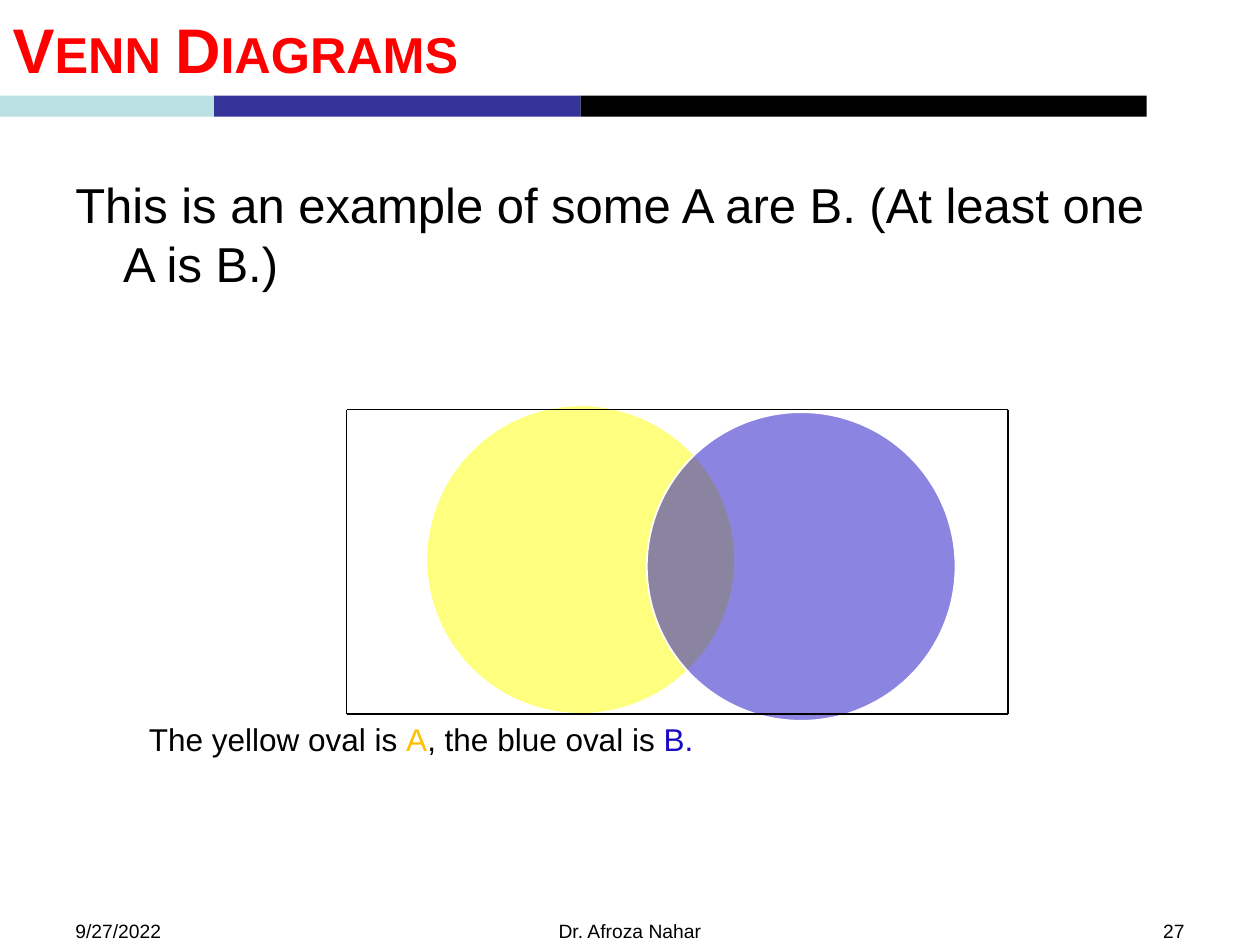
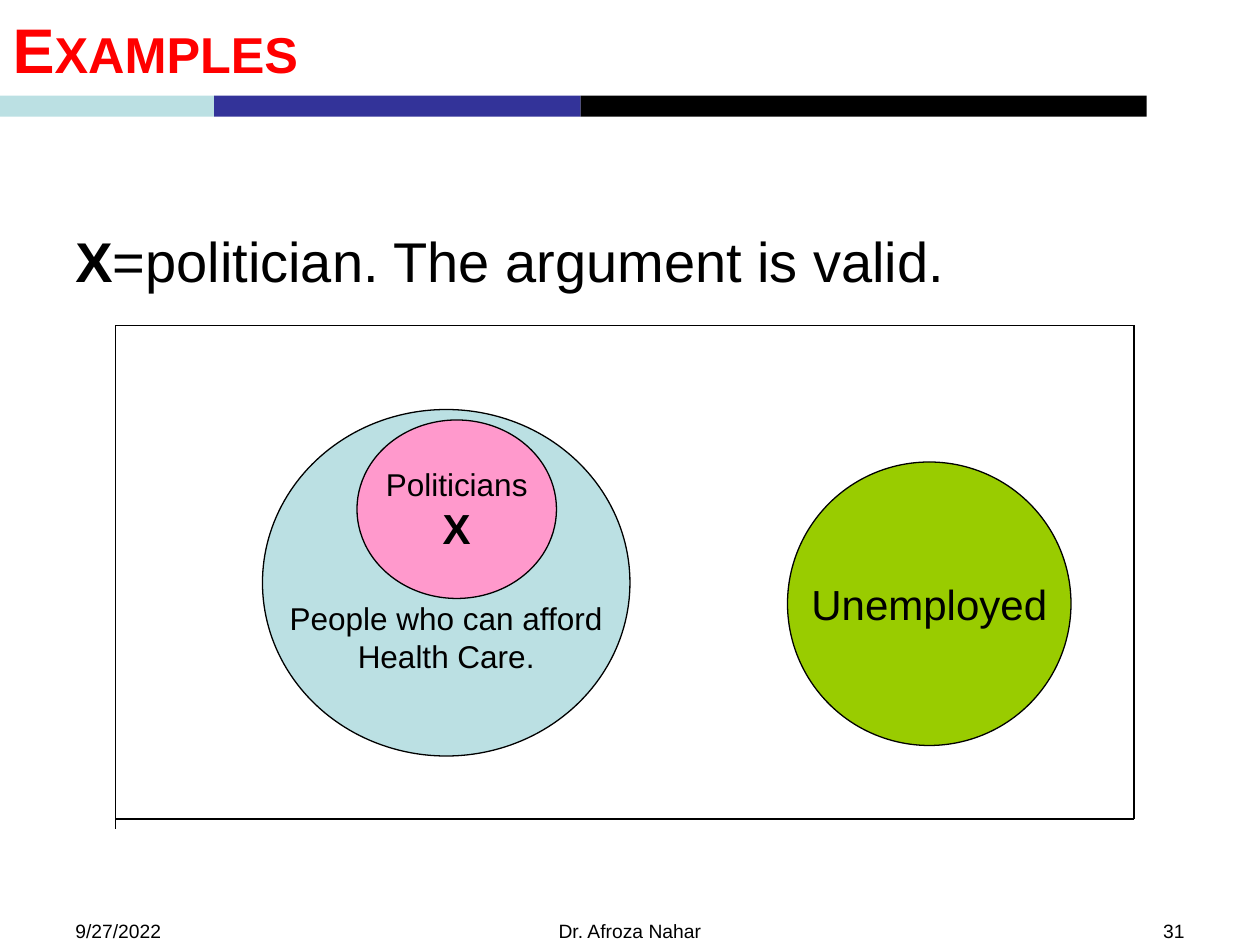
import dataclasses

import lxml.etree
import pptx
import pptx.dml.color
import pptx.enum.shapes
import pptx.enum.text
import pptx.oxml.ns
import pptx.util

COLORS = {
    "black": "000000",
    "white": "FFFFFF",
    "red": "FF0000",
    "pale": "BBE0E3",
    "navy": "333399",
    "yellow": "FFFF00",
    "gold": "FFC000",
    "blue": "180BC3",
    "pink": "FF99CC",
    "green": "99CC00",
}
FONT = "Arial"
SLIDE_WIDTH = pptx.util.Inches(10)
SLIDE_HEIGHT = pptx.util.Inches(7.5)
COLUMNS = 120
ROWS = 90
BANDS = (("pale", 20.4), ("navy", 34.9), ("black", 53.9))
ALIGN = pptx.enum.text.PP_ALIGN
ANCHOR = pptx.enum.text.MSO_ANCHOR
qn = pptx.oxml.ns.qn


@dataclasses.dataclass
class Box:
    left: float
    top: float
    width: float
    height: float

    def inner(self, left, top, width, height):
        return Box(self.left + left, self.top + top, width, height)

    def lengths(self):
        return (across(self.left), down(self.top), across(self.width), down(self.height))


TITLE_BOX = Box(0, 0, 109.2, 9.12)
FOOTER_BOX = Box(6, 87, 108, 3)


def across(columns):
    return round(SLIDE_WIDTH * columns / COLUMNS)


def down(rows):
    return round(SLIDE_HEIGHT * rows / ROWS)


def rgb(name):
    return pptx.dml.color.RGBColor.from_string(COLORS[name])


def add_text(para, text, size=18, color="black", bold=False, small_caps=False):
    span = para.add_run()
    span.text = text
    span.font.name = FONT
    span.font.size = pptx.util.Pt(size)
    span.font.bold = bold
    span.font.color.rgb = rgb(color)
    if small_caps:
        span._r.get_or_add_rPr().set("cap", "small")


def space_before(para, percent):
    para.space_before = pptx.util.Pt(0)
    spacing = para._p.pPr.find(qn("a:spcBef"))
    spacing.remove(spacing[0])
    lxml.etree.SubElement(spacing, qn("a:spcPct"), val=str(percent * 1000))


def add_paragraph_box(page, box, align=ALIGN.LEFT):
    frame = page.shapes.add_textbox(*box.lengths()).text_frame
    frame.word_wrap = True
    para = frame.paragraphs[0]
    para.alignment = align
    return para


def add_figure(page, kind, box, fill, line=None, line_width=0.75, opacity=100):
    shape = page.shapes.add_shape(kind, *box.lengths())
    shape.shadow.inherit = False
    shape.fill.solid()
    shape.fill.fore_color.rgb = rgb(fill)
    if opacity < 100:
        color = shape._element.spPr.find(qn("a:solidFill"))[0]
        lxml.etree.SubElement(color, qn("a:alpha"), val=str(opacity * 1000))
    if line:
        shape.line.color.rgb = rgb(line)
        shape.line.width = pptx.util.Pt(line_width)
    else:
        shape.line.fill.background()
    return shape


def add_oval(page, box, fill, **style):
    return add_figure(page, pptx.enum.shapes.MSO_SHAPE.OVAL, box, fill, **style)


def add_set(page, box, fill, lines, raised_inset=0.05):
    frame = add_oval(page, box, fill, line="black").text_frame
    frame.word_wrap = False
    frame.vertical_anchor = ANCHOR.MIDDLE
    frame.margin_top = pptx.util.Inches(raised_inset)
    for index, (text, style) in enumerate(lines):
        para = frame.add_paragraph() if index else frame.paragraphs[0]
        para.alignment = ALIGN.CENTER
        add_text(para, text, **style)


def add_universe(page, box, overhang=0):
    right, bottom = box.left + box.width, box.top + box.height
    sides = (
        (box.left, box.top, box.left, bottom + overhang),
        (box.left, box.top, right, box.top),
        (right, box.top, right, bottom),
        (right, bottom, box.left, bottom),
    )
    for left, top, end_left, end_top in sides:
        side = page.shapes.add_connector(
            pptx.enum.shapes.MSO_CONNECTOR.STRAIGHT,
            across(left), down(top), across(end_left), down(end_top))
        side.line.color.rgb = rgb("black")
        side.line.width = pptx.util.Pt(0.75)
        lxml.etree.SubElement(side._element.spPr, qn("a:effectLst"))


def add_heading(page, box, text):
    title = page.shapes.title
    title.left, title.top, title.width, title.height = box.lengths()
    frame = title.text_frame
    frame.auto_size = pptx.enum.text.MSO_AUTO_SIZE.NONE
    frame.vertical_anchor = ANCHOR.MIDDLE
    para = frame.paragraphs[0]
    para.alignment = ALIGN.LEFT
    space_before(para, 20)
    add_text(para, text, size=36, color="red", bold=True, small_caps=True)
    left = 0
    for color, width in BANDS:
        band = box.inner(left, box.height, width, 2)
        add_figure(page, pptx.enum.shapes.MSO_SHAPE.RECTANGLE, band, color)
        left += width


def add_footer(page, box, number):
    entries = (
        ("9/27/2022", 0, 28, ALIGN.LEFT),
        ("Dr. Afroza Nahar", 35, 38, ALIGN.CENTER),
        (number, 80, 28, ALIGN.RIGHT),
    )
    for text, left, width, align in entries:
        para = add_paragraph_box(page, box.inner(left, 0, width, box.height), align)
        add_text(para, text, size=11)


def add_statement(page, box, spans, size):
    para = add_paragraph_box(page, box)
    indent = pptx.util.Inches(0.38)
    properties = para._p.get_or_add_pPr()
    properties.set("marL", str(indent))
    properties.set("indent", str(-indent))
    space_before(para, 20)
    for text, bold in spans:
        add_text(para, text, size=size, bold=bold)


def add_overlap_diagram(page, box):
    for left, top, color in ((7.6, -0.4, "yellow"), (28.6, 0.25, "blue")):
        add_oval(page, box.inner(left, top, 29.4, 29.4), color,
                 line="white", line_width=1, opacity=50)
    para = add_paragraph_box(page, box.inner(-20, box.height, 95, 4.8))
    space_before(para, 50)
    for text, color in (("The yellow oval is ", "black"), ("A", "gold"),
                        (", the blue oval is ", "black"), ("B.", "blue")):
        add_text(para, text, color=color)
    add_universe(page, box)


def add_subset_diagram(page, box):
    add_set(page, box.inner(14, 8, 35, 33), "pale",
            [("People who can afford", {}), ("Health Care.", {})], raised_inset=0.91)
    add_set(page, box.inner(23, 9, 19, 17), "pink",
            [("Politicians", {}), ("X", {"size": 24, "bold": True})])
    add_set(page, box.inner(64, 13, 27, 27), "green", [("Unemployed", {"size": 24})])
    add_universe(page, box, overhang=1)


def add_page(deck, title, number):
    page = deck.slides.add_slide(deck.slide_layouts.get_by_name("Title Only"))
    add_heading(page, TITLE_BOX, title)
    add_footer(page, FOOTER_BOX, number)
    return page


def main():
    deck = pptx.Presentation()
    deck.slide_width = SLIDE_WIDTH
    deck.slide_height = SLIDE_HEIGHT

    venn = add_page(deck, "Venn Diagrams", "27")
    add_statement(venn, Box(6, 16, 108, 20), [
        ("This is an example of some A are B. (At least one A is B.)", False)], 28)
    add_overlap_diagram(venn, Box(33, 39, 63, 29))

    examples = add_page(deck, "Examples", "31")
    add_statement(examples, Box(6, 21, 108, 59.4), [
        ("X", True), ("=politician. The argument is valid.", False)], 32)
    add_subset_diagram(examples, Box(11, 31, 97, 47))

    deck.save("out.pptx")


if __name__ == "__main__":
    main()
